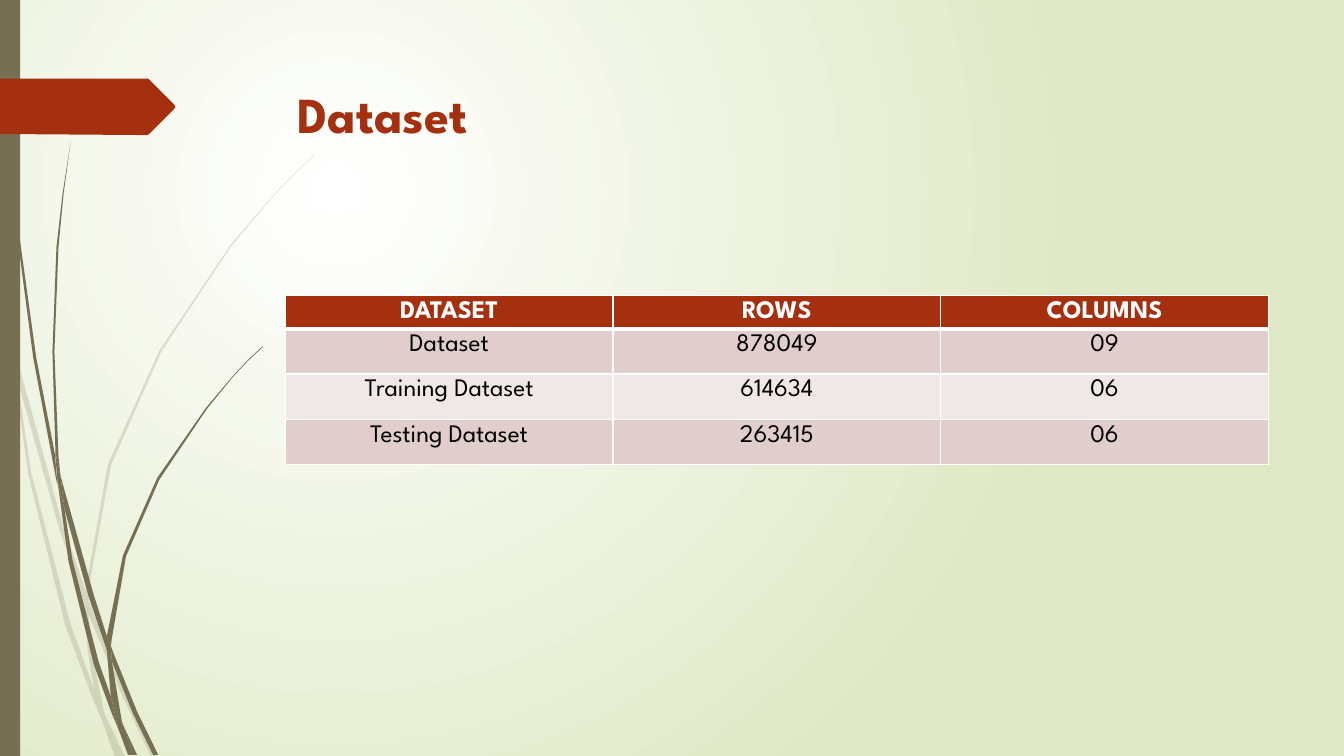
from lxml.etree import SubElement
from pptx import Presentation
from pptx.dml.color import RGBColor
from pptx.enum.shapes import MSO_SHAPE as SHAPE
from pptx.enum.text import MSO_ANCHOR as ANCHOR, PP_ALIGN as ALIGN
from pptx.oxml.ns import qn
from pptx.util import Inches, Pt

WHITE = RGBColor(0xFF, 0xFF, 0xFF)
BLACK = RGBColor(0, 0, 0)
PALE_GREEN = RGBColor(0xDF, 0xE8, 0xC4)
OLIVE = RGBColor(0x76, 0x6F, 0x54)
RUST = RGBColor(0xA5, 0x30, 0x10)
ROSE = RGBColor(0xE1, 0xCD, 0xCC)
LIGHT_ROSE = RGBColor(0xF0, 0xE8, 0xE7)
FONT = "League Spartan"
UNIT = Inches(0.01)

PALE_WISPS = [
    [(11, 350), (9, 322), (0, 282), (0, 299), (10, 344)],
    [(58, 522), (84, 599), (85, 586), (62, 520), (14, 345), (17, 376)],
    [(92, 607), (88, 596), (88, 610), (123, 694), (150, 751), (155, 751), (127, 692)],
    [(119, 751), (124, 751), (105, 711)],
    [(93, 683), (70, 619), (31, 469), (17, 376), (11, 350), (28, 470), (65, 621),
     (92, 693), (101, 714), (99, 707)],
    [(84, 599), (87, 646), (93, 683), (96, 692), (105, 711), (103, 706), (91, 646),
     (88, 610), (88, 608)],
    [(88, 584), (110, 462), (160, 349), (229, 245), (268, 198), (290, 175), (312, 154),
     (312, 153), (289, 175), (268, 197), (228, 244), (158, 348), (107, 461), (85, 584),
     (85, 586), (88, 596)],
    [(101, 714), (114, 751), (119, 751)],
    [(88, 608), (88, 610), (88, 596), (85, 586), (84, 599)],
    [(96, 692), (93, 683), (99, 707), (101, 714), (119, 751), (105, 711)],
]
DARK_WISPS = [
    [(7, 110), (17, 233), (33, 355), (56, 477), (57, 481), (55, 457), (55, 453),
     (36, 355), (19, 232), (8, 109), (5, 48), (4, 0), (3, 0), (4, 48)],
    [(88, 592), (106, 645), (106, 633), (106, 631), (93, 590), (60, 472), (64, 505)],
    [(113, 649), (110, 641), (111, 656), (132, 708), (152, 749), (157, 749), (136, 706)],
    [(110, 691), (98, 657), (72, 556), (64, 505), (57, 477), (68, 557), (93, 659),
     (111, 708), (117, 722), (116, 717)],
    [(60, 472), (58, 453), (54, 349), (58, 245), (63, 193), (70, 141), (62, 193),
     (56, 245), (52, 349), (55, 449)],
    [(133, 749), (136, 749), (122, 719)],
    [(57, 477), (64, 505), (60, 472), (55, 449), (55, 453)],
    [(111, 633), (125, 552), (158, 476), (205, 406), (231, 374), (245, 359), (261, 344),
     (260, 344), (245, 358), (231, 373), (204, 405), (156, 474), (122, 551), (106, 631),
     (110, 641)],
    [(117, 722), (127, 749), (131, 749)],
    [(106, 645), (110, 691), (116, 706), (122, 719), (121, 716), (111, 656), (109, 651)],
    [(106, 645), (109, 651), (111, 656), (110, 641), (106, 631), (106, 633)],
    [(116, 706), (110, 691), (116, 717), (117, 722), (130, 749), (133, 749), (122, 719)],
]
ARROW = [(0, 0), (147, 0), (148, 1), (173, 26), (174, 28), (173, 30), (148, 55),
         (146, 56), (136, 56), (0, 55)]
ROWS = [
    ("DATASET", "ROWS", "COLUMNS"),
    ("Dataset", "878049", "09"),
    ("Training Dataset", "614634", "06"),
    ("Testing Dataset", "263415", "06"),
]


def write(tf, text, size=18, color=BLACK, bold=False, align=ALIGN.LEFT):
    p = tf.paragraphs[0]
    p.alignment = align
    r = p.add_run()
    r.text = text
    r.font.name, r.font.size = FONT, Pt(size)
    r.font.bold, r.font.color.rgb = bold, color


def paint(sp, color, opacity=100):
    sp.shadow.inherit = False
    sp.fill.solid()
    sp.fill.fore_color.rgb = color
    sp.line.fill.background()
    if opacity < 100:
        clr = sp.element.spPr.find(qn("a:solidFill"))[0]
        SubElement(clr, qn("a:alpha"), val=str(opacity * 1000))


def outline(shapes, points, left, top, color, opacity=100):
    builder = shapes.build_freeform(*points[0], scale=UNIT)
    builder.add_line_segments(points[1:], close=True)
    paint(builder.convert_to_shape(left, top), color, opacity)


def background(s):
    fill = s.background.fill
    fill.gradient()
    for stop, color in zip(fill.gradient_stops, (WHITE, PALE_GREEN)):
        stop.color.rgb = color
    grad = s.element.find(".//" + qn("a:gradFill"))
    grad.remove(grad.find(qn("a:lin")))
    circle = SubElement(grad, qn("a:path"), path="circle")
    SubElement(circle, qn("a:fillToRect"), l="50000", t="50000", r="100000", b="100000")


def side_panel(s, left, top, height):
    for wisps, opacity in ((PALE_WISPS, 20), (DARK_WISPS, 100)):
        group = s.shapes.add_group_shape()
        for points in wisps:
            outline(group.shapes, points, left, top, OLIVE, opacity)
    bar = s.shapes.add_shape(SHAPE.RECTANGLE, left, top, Inches(0.2), height)
    paint(bar, OLIVE)
    outline(s.shapes, ARROW, left, top + Inches(0.78), RUST)


def title(s, left, top, width, height):
    sp = s.shapes.title
    sp.left, sp.top, sp.width, sp.height = left, top, width, height
    tf = sp.text_frame
    tf.word_wrap = True
    tf.vertical_anchor = ANCHOR.TOP
    tf.margin_top = Inches(0.2)
    write(tf, "Dataset", size=36, color=RUST, bold=True)


def borders(cell, top, bottom):
    tc_pr = cell._tc.get_or_add_tcPr()
    for side, width in (("L", 1), ("R", 1), ("T", top), ("B", bottom)):
        ln = SubElement(tc_pr, qn("a:ln" + side), w=str(Pt(width)))
        fill = SubElement(ln, qn("a:solidFill"))
        SubElement(fill, qn("a:srgbClr"), val=str(WHITE))


def dataset_table(s, left, top, width, header_height, row_height):
    height = header_height + row_height * (len(ROWS) - 1)
    table = s.shapes.add_table(len(ROWS), len(ROWS[0]), left, top, width, height).table
    for i, row in enumerate(ROWS):
        header = i == 0
        table.rows[i].height = header_height if header else row_height
        for j, text in enumerate(row):
            cell = table.cell(i, j)
            borders(cell, 3 if i == 1 else 1, 3 if header else 1)
            cell.fill.solid()
            cell.fill.fore_color.rgb = RUST if header else (LIGHT_ROSE, ROSE)[i % 2]
            write(cell.text_frame, text, color=WHITE if header else BLACK,
                  bold=header, align=ALIGN.CENTER)


def main():
    prs = Presentation()
    prs.slide_width, prs.slide_height = Inches(13.33), Inches(7.5)
    s = prs.slides.add_slide(prs.slide_layouts[5])
    background(s)
    side_panel(s, 0, 0, prs.slide_height)
    title(s, Inches(2.85), Inches(0.62), Inches(9.75), Inches(1.4))
    dataset_table(s, Inches(2.83), Inches(2.93), Inches(9.75), Inches(0.32), Inches(0.45))
    prs.save("out.pptx")


if __name__ == "__main__":
    main()
